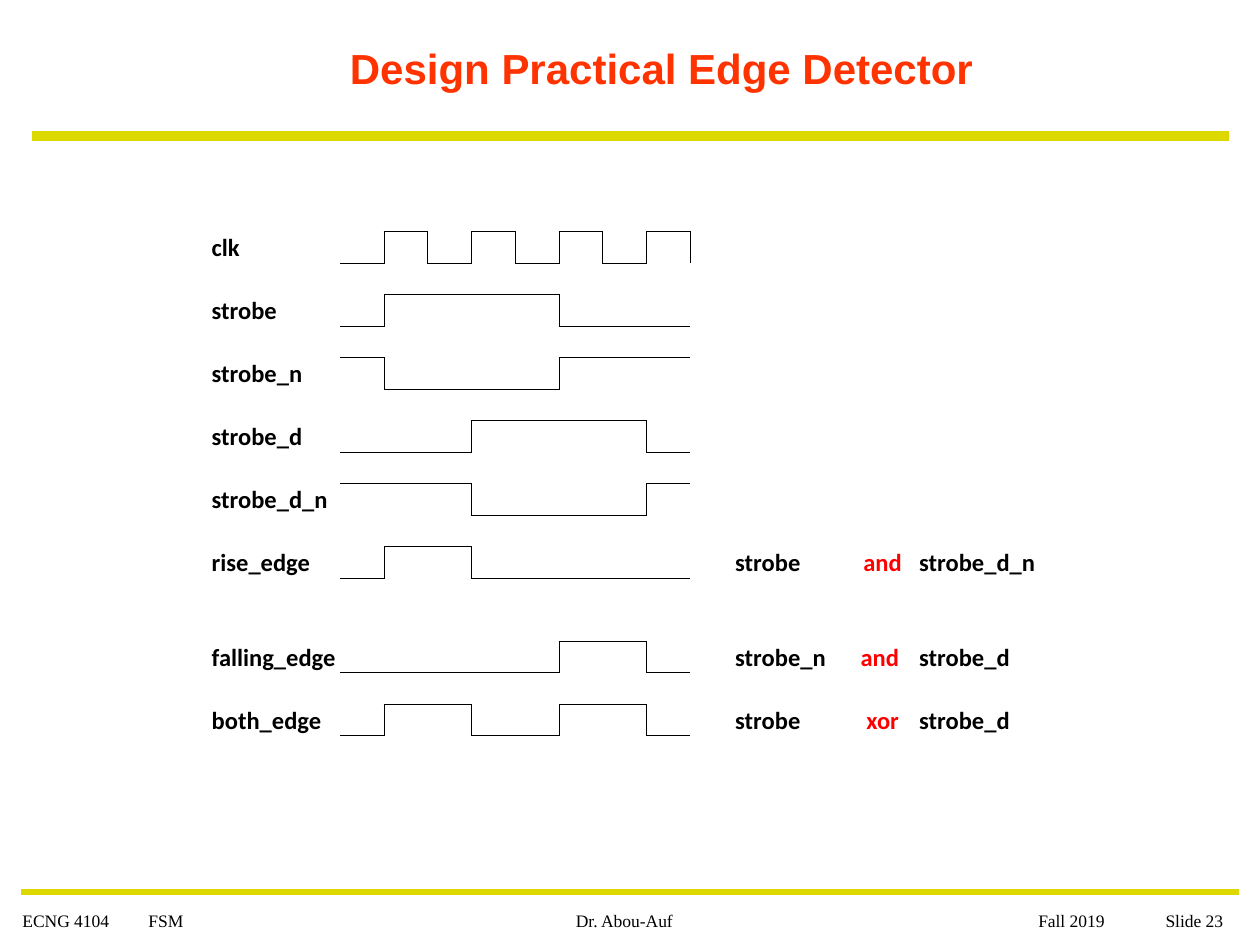
"""Build a slide with the timing diagram of a practical edge detector."""
from lxml import etree
from pptx import Presentation
from pptx.dml.color import RGBColor
from pptx.enum.shapes import MSO_CONNECTOR
from pptx.enum.text import MSO_ANCHOR, PP_ALIGN
from pptx.oxml.ns import qn
from pptx.util import Inches, Pt

LEFT, CENTER = PP_ALIGN.LEFT, PP_ALIGN.CENTER
TOP, MIDDLE, BOTTOM = MSO_ANCHOR.TOP, MSO_ANCHOR.MIDDLE, MSO_ANCHOR.BOTTOM
STRAIGHT = MSO_CONNECTOR.STRAIGHT
PLAIN_TABLE = "{2D5ABB26-0587-4C30-8999-92F81FD0307C}"
COLORS = {"title": "FF3300", "rule": "DDD800", "text": "000000", "operator": "FF0000"}

TITLE = "Design Practical Edge Detector"
RULES = [(0.25, 9.75, 1.08, 6), (0.17, 9.83, 7.08, 3)]
FOOTERS = [
    ("ECNG 4104\tFSM", 0.08, 3.33, LEFT, 0.1, 1),
    ("Dr. Abou-Auf", 4.08, 1.75, CENTER, 0.1, None),
    ("Fall 2019\tSlide 23", 8, 1.92, LEFT, 0.24, 1.01),
]
SIGNALS = [
    (0, "clk", "010101010", ()),
    (2, "strobe", "01111000", ()),
    (4, "strobe_n", "10000111", ()),
    (6, "strobe_d", "00011110", ()),
    (8, "strobe_d_n", "11100001", ()),
    (10, "rise_edge", "01100000", ("strobe", "and", "strobe_d_n")),
    (13, "falling_edge", "00000110", ("strobe_n", "and ", "strobe_d")),
    (15, "both_edge", "01100110", ("strobe", "xor", "strobe_d")),
]
SLOTS, ROWS, ROW_HEIGHT = 8, 16, 0.25
WIDTHS = [1.03] + [2.78 / SLOTS] * (SLOTS + 1) + [0.9, 0.56, 1.01]
FORMULA_COLUMN, OPERATOR_COLUMN = 10, 11


def style(para, size, face, color, bold=False, align=LEFT):
    para.alignment = align
    font = para.font
    font.size, font.name, font.bold = Pt(size), face, bold
    font.color.rgb = RGBColor.from_string(COLORS[color])


def add_text(page, text, left, top, width, height, anchor):
    box = page.shapes.add_textbox(*map(Inches, (left, top, width, height)))
    frame = box.text_frame
    frame.word_wrap, frame.vertical_anchor = True, anchor
    para = frame.paragraphs[0]
    para.text = text
    return frame, para


def add_rule(page, start, end, y, weight):
    rule = page.shapes.add_connector(STRAIGHT, *map(Inches, (start, y, end, y)))
    rule.line.color.rgb = RGBColor.from_string(COLORS["rule"])
    rule.line.width = Pt(weight)
    etree.SubElement(rule._element.spPr, qn("a:effectLst"))


def add_footer(page, text, left, width, align, inset, tab):
    frame, para = add_text(page, text, left, 7.17, width, 0.33, TOP)
    frame.margin_left = Inches(inset)
    style(para, 10, "Times New Roman", "text", align=align)
    if tab:
        stops = etree.Element(qn("a:tabLst"))
        etree.SubElement(stops, qn("a:tab"), pos=str(Inches(tab)), algn="l")
        para._p.get_or_add_pPr().insert(0, stops)


def wave_borders():
    """Return the (row, column, side) triples that draw every waveform."""
    borders = set()
    for row, _, levels, _ in SIGNALS:
        for column, level in enumerate(levels[:SLOTS], 1):
            if level == "0":
                borders |= {(row, column, "B"), (row + 1, column, "T")}
            else:
                borders |= {(row, column, "T"), (row - 1, column, "B")}
        for column in range(1, len(levels)):
            if levels[column - 1] != levels[column]:
                borders |= {(row, column, "R"), (row, column + 1, "L")}
    return borders


def set_border(cell, side, visible):
    line = etree.SubElement(cell._tc.get_or_add_tcPr(), qn(f"a:ln{side}"), w=str(Pt(0.5)))
    if visible:
        fill = etree.SubElement(line, qn("a:solidFill"))
        etree.SubElement(fill, qn("a:srgbClr"), val=COLORS["text"])
    else:
        etree.SubElement(line, qn("a:noFill"))


def add_diagram(page):
    frame = page.shapes.add_table(
        ROWS, len(WIDTHS), Inches(1.67), Inches(1.84),
        Inches(sum(WIDTHS)), Inches(ROWS * ROW_HEIGHT))
    table = frame.table
    table.first_row = table.horz_banding = False
    table._tbl.tblPr.find(qn("a:tableStyleId")).text = PLAIN_TABLE
    for column, width in zip(table.columns, WIDTHS):
        column.width = Inches(width)
    for row in table.rows:
        row.height = Inches(ROW_HEIGHT)

    texts = {}
    for row, name, _, formula in SIGNALS:
        texts[row, 0] = name
        texts.update({(row, FORMULA_COLUMN + i): word for i, word in enumerate(formula)})

    borders = wave_borders()
    for row in range(ROWS):
        for column in range(len(WIDTHS)):
            cell = table.cell(row, column)
            cell.margin_left = cell.margin_right = cell.margin_top = Inches(0.01)
            cell.margin_bottom = 0
            cell.vertical_anchor = BOTTOM
            for side in "LRTB":
                set_border(cell, side, (row, column, side) in borders)
            cell.fill.background()
            para = cell.text_frame.paragraphs[0]
            if (row, column) in texts:
                para.text = texts[row, column]
                operator = column == OPERATOR_COLUMN
                style(para, 14, "Calibri", "operator" if operator else "text", True,
                      CENTER if operator else LEFT)
            else:
                etree.SubElement(para._p, qn("a:endParaRPr"), sz="800")


def main():
    deck = Presentation()
    deck.slide_width, deck.slide_height = Inches(10), Inches(7.5)
    page = deck.slides.add_slide(deck.slide_layouts[6])
    for rule in RULES:
        add_rule(page, *rule)
    _, para = add_text(page, TITLE, 1.25, 0, 8, 1.08, MIDDLE)
    style(para, 24, "Arial", "title", True, CENTER)
    for footer in FOOTERS:
        add_footer(page, *footer)
    add_diagram(page)
    deck.save("out.pptx")


if __name__ == "__main__":
    main()
